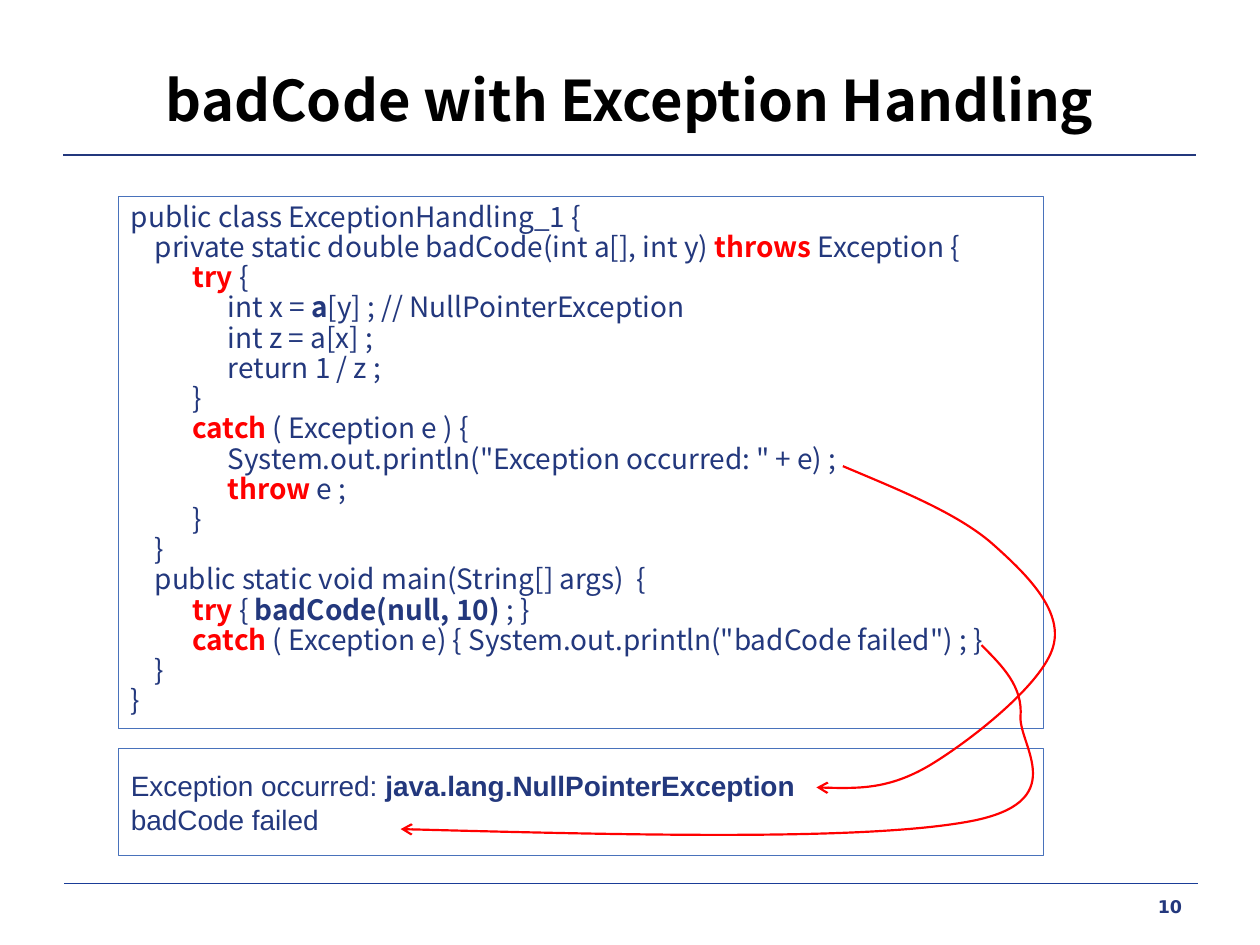
"""Build the slide on exception handling: Java code, its output and the arrows between them."""
import pptx
import pptx.util
import pptx.dml.color
import pptx.enum.shapes
import pptx.enum.text
import pptx.oxml.ns
from lxml import etree

Inches, Pt = pptx.util.Inches, pptx.util.Pt
qn = pptx.oxml.ns.qn
ALIGN, ANCHOR = pptx.enum.text.PP_ALIGN, pptx.enum.text.MSO_ANCHOR

NAVY, RED, BORDER = "23387D", "FF0000", "4972BB"
CODE_FONT = "Noto Sans CJK KR"
PLAIN, STRONG, KEYWORD = (NAVY, False), (NAVY, True), (RED, True)
TITLE, NUMBER = ("000000", True), STRONG

CODE = [
    (0, [("public class ExceptionHandling_1 {", PLAIN)]),
    (1, [("private static double badCode(int a[], int y) ", PLAIN), ("throws", KEYWORD), (" Exception {", PLAIN)]),
    (2, [("try", KEYWORD), (" {", PLAIN)]),
    (3, [("int x = ", PLAIN), ("a", STRONG), ("[y] ; // NullPointerException", PLAIN)]),
    (3, [("int z = a[x] ;", PLAIN)]),
    (3, [("return 1 / z ;", PLAIN)]),
    (2, [("}", PLAIN)]),
    (2, [("catch", KEYWORD), (" ( Exception e ) {", PLAIN)]),
    (3, [('System.out.println("Exception occurred: " + e) ;', PLAIN)]),
    (3, [("throw", KEYWORD), (" e ;", PLAIN)]),
    (2, [("}", PLAIN)]),
    (1, [("}", PLAIN)]),
    (1, [("public static void main(String[] args)  {", PLAIN)]),
    (2, [("try", KEYWORD), (" { ", PLAIN), ("badCode(null, 10)", STRONG), (" ; }", PLAIN)]),
    (2, [("catch", KEYWORD), (' ( Exception e) { System.out.println("badCode failed") ; }', PLAIN)]),
    (1, [("}", PLAIN)]),
    (0, [("}", PLAIN)]),
]
OUTPUT = [
    (0, [("Exception occurred: ", PLAIN), ("java.lang.NullPointerException", STRONG)]),
    (0, [("badCode failed", PLAIN)]),
]
TAB_STOPS = [0.19, 0.49, 0.77]
RULES = [
    ((0.51, 7.01), (9.51, 7.01), "1A3D97", 0.5),
    ((0.5, 1.23), (9.49, 1.23), NAVY, 1.5),
]
ARROWS = [
    [(6.69, 3.7), (7.14, 3.89), (7.59, 4.07), (7.87, 4.31), (8.14, 4.55), (8.44, 4.84), (8.36, 5.13),
     (8.28, 5.43), (7.69, 5.89), (7.37, 6.08), (7.06, 6.26), (6.77, 6.26), (6.48, 6.25)],
    [(7.79, 5.12), (7.96, 5.29), (8.12, 5.45), (8.1, 5.69), (8.09, 5.92), (8.51, 6.37), (7.69, 6.52),
     (6.87, 6.67), (5.02, 6.63), (3.18, 6.58)],
]


def rgb(color):
    return pptx.dml.color.RGBColor.from_string(color)


def set_line(line, color, width):
    line.color.rgb = rgb(color)
    line.width = Pt(width)


def write(shape, lines, font, size, align=ALIGN.LEFT, anchor=ANCHOR.TOP, pitch=None):
    frame = shape.text_frame
    frame.word_wrap = True
    frame.vertical_anchor = anchor
    for index, (depth, pieces) in enumerate(lines):
        paragraph = frame.add_paragraph() if index else frame.paragraphs[0]
        paragraph.alignment = align
        if pitch:
            paragraph.line_spacing = Pt(pitch)
        if depth:
            tabs = etree.SubElement(paragraph._p.get_or_add_pPr(), qn("a:tabLst"))
            for stop in TAB_STOPS:
                etree.SubElement(tabs, qn("a:tab"), pos=str(Inches(stop)), algn="l")
        for position, (text, (color, bold)) in enumerate(pieces):
            run = paragraph.add_run()
            run.text = text if position else "\t" * depth + text
            run.font.name, run.font.size, run.font.bold = font, Pt(size), bold
            run.font.color.rgb = rgb(color)


def add_rule(slide, start, end, color, width):
    rule = slide.shapes.add_connector(
        pptx.enum.shapes.MSO_CONNECTOR.STRAIGHT, *map(Inches, start + end))
    set_line(rule.line, color, width)
    etree.SubElement(rule._element.spPr, qn("a:effectLst"))


def add_panel(slide, top, height):
    panel = slide.shapes.add_shape(
        pptx.enum.shapes.MSO_SHAPE.RECTANGLE, *map(Inches, (0.94, top, 7.34, height)))
    panel.shadow.inherit = False
    panel.fill.background()
    set_line(panel.line, BORDER, 0.75)
    return panel


def add_curved_arrow(slide, points):
    start, *rest = [(Inches(x), Inches(y)) for x, y in points]
    builder = slide.shapes.build_freeform(*start)
    builder.add_line_segments(rest, close=False)
    arrow = builder.convert_to_shape()
    arrow.shadow.inherit = False
    arrow.fill.background()
    set_line(arrow.line, RED, 1.25)
    segments = list(arrow._element.iter(qn("a:lnTo")))
    for first in range(0, len(segments), 3):
        curve = etree.SubElement(segments[first].getparent(), qn("a:cubicBezTo"))
        for segment in segments[first:first + 3]:
            curve.append(segment[0])
            segment.getparent().remove(segment)
    etree.SubElement(arrow.line._get_or_add_ln(), qn("a:tailEnd"), type="arrow")


def main():
    deck = pptx.Presentation()
    deck.slide_width, deck.slide_height = Inches(10), Inches(7.5)
    slide = deck.slides.add_slide(deck.slide_layouts[6])
    for rule in RULES:
        add_rule(slide, *rule)
    title = slide.shapes.add_textbox(*map(Inches, (0.51, 0.35, 8.98, 0.88)))
    write(title, [(0, [("badCode with Exception Handling", TITLE)])], CODE_FONT, 32, ALIGN.CENTER, ANCHOR.MIDDLE)
    number = slide.shapes.add_textbox(*map(Inches, (7.2, 7.06, 2.28, 0.24)))
    write(number, [(0, [("10", NUMBER)])], "DejaVu Sans", 10, ALIGN.RIGHT)
    write(add_panel(slide, 1.56, 4.22), CODE, CODE_FONT, 16, pitch=17.25)
    write(add_panel(slide, 5.94, 0.85), OUTPUT, "Arial", 16, anchor=ANCHOR.MIDDLE)
    for points in ARROWS:
        add_curved_arrow(slide, points)
    deck.save("out.pptx")


if __name__ == "__main__":
    main()
